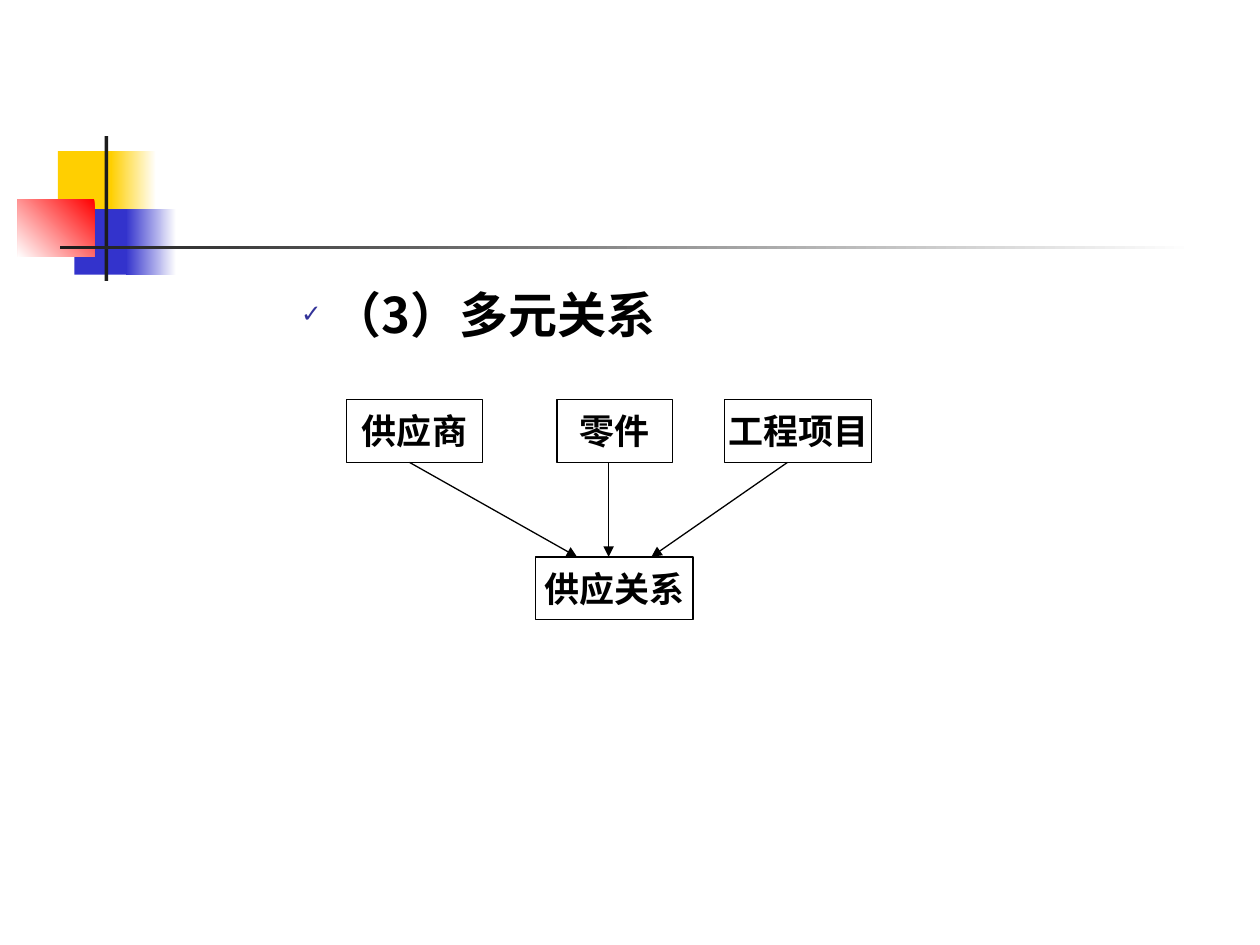
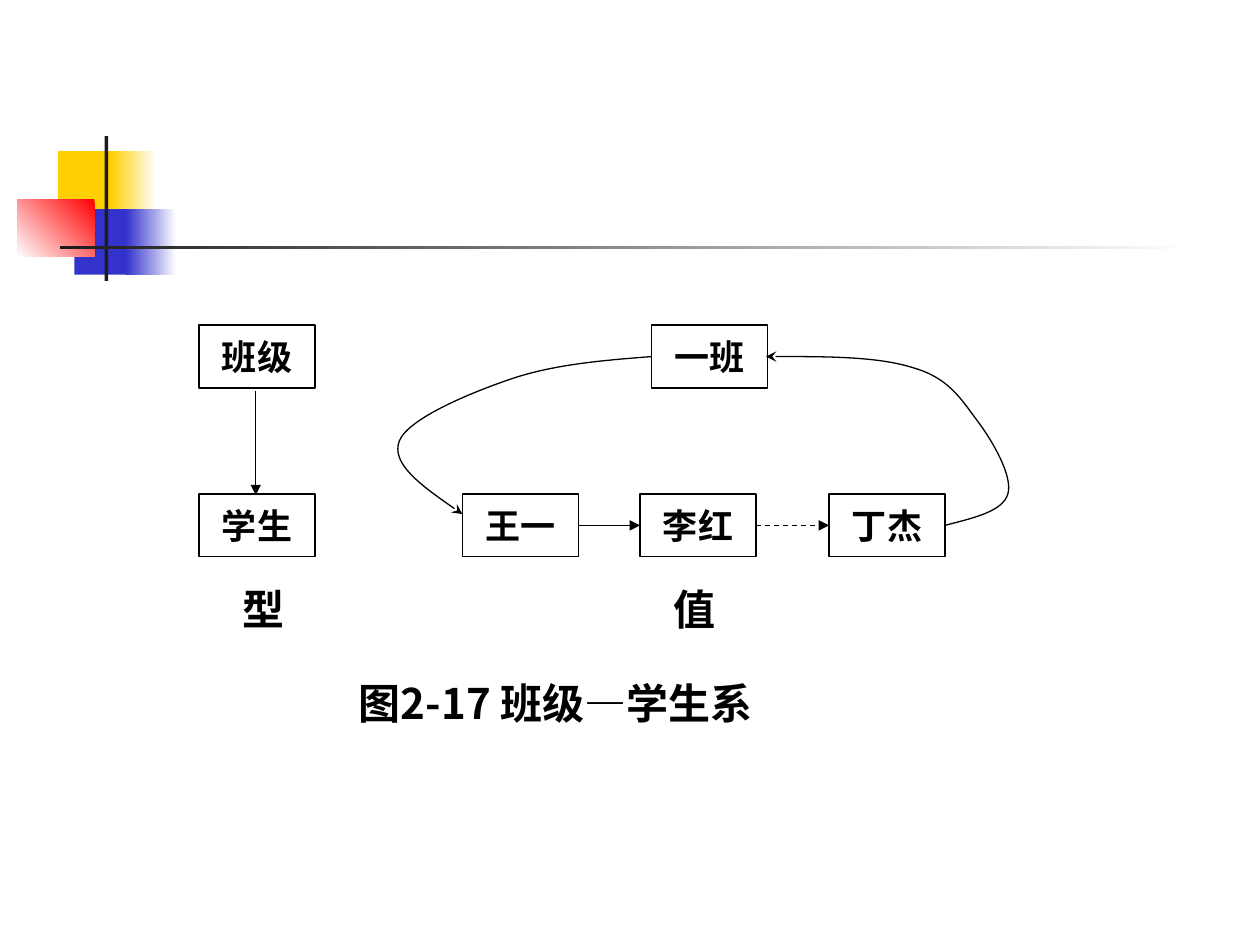
import pptx
import pptx.util
import pptx.dml.color
import pptx.enum.dml
import pptx.enum.shapes
import pptx.enum.text
from pptx.oxml.ns import qn
from lxml import etree

Inches, Pt = pptx.util.Inches, pptx.util.Pt

COLORS = {
    "ink": "000000",
    "bar": "1C1C1C",
    "white": "FFFFFF",
    "yellow": "FFCF01",
    "blue": "3333CC",
    "red": "FF0000",
    "check": "333399",
}
CJK_FONT = "Noto Sans CJK SC"
LATIN_FONT = "Roboto"
BODY_LAYOUT, BLANK_LAYOUT = 1, 6
BOX_HEIGHT = 0.5
NAME_WIDTH = 0.92

# left, top, width, height, colours (two make a gradient), angle
ORNAMENT = [
    (0.46, 1.2, 0.48, 0.52, ["yellow"], 0),
    (0.88, 1.2, 0.36, 0.52, ["white", "yellow"], 180),
    (0.59, 1.66, 0.46, 0.52, ["blue"], 0),
    (1, 1.66, 0.4, 0.52, ["white", "blue"], 180),
    (0.14, 1.58, 0.61, 0.46, ["red", "white"], 225),
    (0.83, 1.08, 0.03, 1.15, ["bar"], 0),
    (0.48, 1.95, 9, 0.03, ["white", "bar"], 180),
]


def rgb(name):
    return pptx.dml.color.RGBColor.from_string(COLORS[name])


def add_xml(parent, tag, **attributes):
    return etree.SubElement(parent, qn(tag), attributes)


class Deck:
    def __init__(self):
        self.presentation = pptx.Presentation()
        self.presentation.slide_width = Inches(10)
        self.presentation.slide_height = Inches(7.5)
        self.slide = None

    def new_slide(self, layout):
        layouts = self.presentation.slide_layouts
        self.slide = self.presentation.slides.add_slide(layouts[layout])
        if self.slide.shapes.title is not None:
            title = self.slide.shapes.title.element
            title.getparent().remove(title)
        for left, top, width, height, colors, angle in ORNAMENT:
            self.ornament(left, top, width, height, colors, angle)

    def rectangle(self, left, top, width, height):
        shape = self.slide.shapes.add_shape(
            pptx.enum.shapes.MSO_SHAPE.RECTANGLE,
            Inches(left), Inches(top), Inches(width), Inches(height))
        shape.shadow.inherit = False
        return shape

    def ornament(self, left, top, width, height, colors, angle):
        block = self.rectangle(left, top, width, height)
        block.line.fill.background()
        if len(colors) == 1:
            block.fill.solid()
            block.fill.fore_color.rgb = rgb(colors[0])
            return
        block.fill.gradient()
        block.fill.gradient_angle = angle
        for stop, color in zip(block.fill.gradient_stops, colors):
            stop.color.rgb = rgb(color)

    def style(self, paragraph, size, latin=CJK_FONT):
        font = paragraph.font
        font.size = Pt(size)
        font.bold = True
        font.color.rgb = rgb("ink")
        font.name = latin
        defaults = paragraph._p.pPr.find(qn("a:defRPr"))
        add_xml(defaults, "a:ea", typeface=CJK_FONT)

    def outline(self, line):
        line.color.rgb = rgb("ink")
        line.width = Pt(0.75)

    def arrowhead(self, line, kind):
        add_xml(line._get_or_add_ln(), "a:tailEnd", type=kind)

    def box(self, text, left, top, width=NAME_WIDTH, latin=CJK_FONT):
        box = self.rectangle(left, top, width, BOX_HEIGHT)
        box.fill.background()
        self.outline(box.line)
        frame = box.text_frame
        frame.word_wrap = False
        frame.vertical_anchor = pptx.enum.text.MSO_ANCHOR.MIDDLE
        paragraph = frame.paragraphs[0]
        paragraph.text = text
        paragraph.alignment = pptx.enum.text.PP_ALIGN.CENTER
        self.style(paragraph, 20, latin)

    def label(self, text, left, top, width):
        label = self.slide.shapes.add_textbox(
            Inches(left), Inches(top), Inches(width), Inches(0.5))
        frame = label.text_frame
        frame.word_wrap = True
        frame.auto_size = pptx.enum.text.MSO_AUTO_SIZE.SHAPE_TO_FIT_TEXT
        frame.paragraphs[0].text = text
        self.style(frame.paragraphs[0], 24)

    def checked_heading(self, text):
        body = self.slide.placeholders[1]
        body.left, body.top = Inches(1.29), Inches(2.21)
        body.width, body.height = Inches(8.5), Inches(4.5)
        body.text_frame.auto_size = pptx.enum.text.MSO_AUTO_SIZE.NONE
        heading = body.text_frame.paragraphs[0]
        heading.text = text
        heading.level = 2
        heading.space_before = Pt(0)
        properties = heading._p.get_or_add_pPr()
        properties.set("marL", str(Inches(1.25)))
        properties.set("indent", str(Inches(-0.25)))
        bullet_color = add_xml(properties, "a:buClr")
        add_xml(bullet_color, "a:srgbClr", val=COLORS["check"])
        add_xml(properties, "a:buSzPct", val="50000")
        add_xml(properties, "a:buChar", char="✓")
        self.style(heading, 28)

    def arrow(self, start, end, dashed=False):
        arrow = self.slide.shapes.add_connector(
            pptx.enum.shapes.MSO_CONNECTOR.STRAIGHT,
            *(Inches(value) for value in (*start, *end)))
        self.outline(arrow.line)
        if dashed:
            arrow.line.dash_style = pptx.enum.dml.MSO_LINE.DASH
        self.arrowhead(arrow.line, "triangle")
        add_xml(arrow._element.spPr, "a:effectLst")

    def curved_arrow(self, start, points):
        """Draw cubic curves; every three points are two controls and an end."""
        builder = self.slide.shapes.build_freeform(*map(Inches, start))
        builder.add_line_segments(
            [(Inches(x), Inches(y)) for x, y in points], close=False)
        curve = builder.convert_to_shape()
        outline_path = next(curve._element.iter(qn("a:path")))
        segments = outline_path.findall(qn("a:lnTo"))
        for first in range(0, len(segments), 3):
            bezier = add_xml(outline_path, "a:cubicBezTo")
            for segment in segments[first:first + 3]:
                bezier.append(segment[0])
                outline_path.remove(segment)
        curve.shadow.inherit = False
        curve.fill.background()
        self.outline(curve.line)
        self.arrowhead(curve.line, "stealth")


def build_multiway_relation(deck):
    deck.new_slide(BODY_LAYOUT)
    deck.checked_heading("（3）多元关系")
    entity_top, relation_top = 3.17, 4.42
    entities = [
        # name, left, width, arrow start, arrow end
        ("供应商", 2.75, 1.08, 3.25, 4.58),
        ("零件", 4.42, 0.92, 4.83, 4.83),
        ("工程项目", 5.75, 1.17, 6.25, 5.17),
    ]
    for name, left, width, start, end in entities:
        deck.box(name, left, entity_top, width, LATIN_FONT)
        deck.arrow((start, entity_top + BOX_HEIGHT), (end, relation_top))
    deck.box("供应关系", 4.25, relation_top, 1.25, LATIN_FONT)


def build_class_student_set(deck):
    deck.new_slide(BLANK_LAYOUT)
    class_top, student_top, label_top = 2.58, 3.92, 4.58
    class_middle = class_top + BOX_HEIGHT / 2
    student_middle = student_top + BOX_HEIGHT / 2

    deck.box("班级", 1.58, class_top)
    deck.box("学生", 1.58, student_top)
    deck.arrow((2.03, 3.1), (2.03, 3.93))
    deck.label("型", 1.83, label_top, 0.75)

    deck.box("一班", 5.17, class_top)
    students = [("王一", 3.67), ("李红", 5.08), ("丁杰", 6.58)]
    for name, left in students:
        deck.box(name, left, student_top)
    for (_, left), (name, next_left) in zip(students, students[1:]):
        deck.arrow((left + NAME_WIDTH, student_middle),
                   (next_left, student_middle), dashed=name == "丁杰")
    deck.curved_arrow((5.17, class_middle), [
        (4.79, 2.86), (4.42, 2.89), (4.08, 3),
        (3.75, 3.11), (3.24, 3.32), (3.17, 3.5),
        (3.1, 3.68), (3.38, 3.88), (3.67, 4.08)])
    deck.curved_arrow((7.5, student_middle), [
        (7.73, 4.11), (7.96, 4.06), (8, 3.92),
        (8.04, 3.78), (7.88, 3.5), (7.75, 3.33),
        (7.63, 3.17), (7.53, 3), (7.25, 2.92),
        (6.97, 2.83), (6.53, 2.83), (6.08, class_middle)])
    deck.label("值", 5.25, label_top, 0.75)
    deck.label("图2-17 班级—学生系", 2.75, 5.33, 4.42)


def main():
    deck = Deck()
    build_multiway_relation(deck)
    build_class_student_set(deck)
    deck.presentation.save("out.pptx")


if __name__ == "__main__":
    main()
